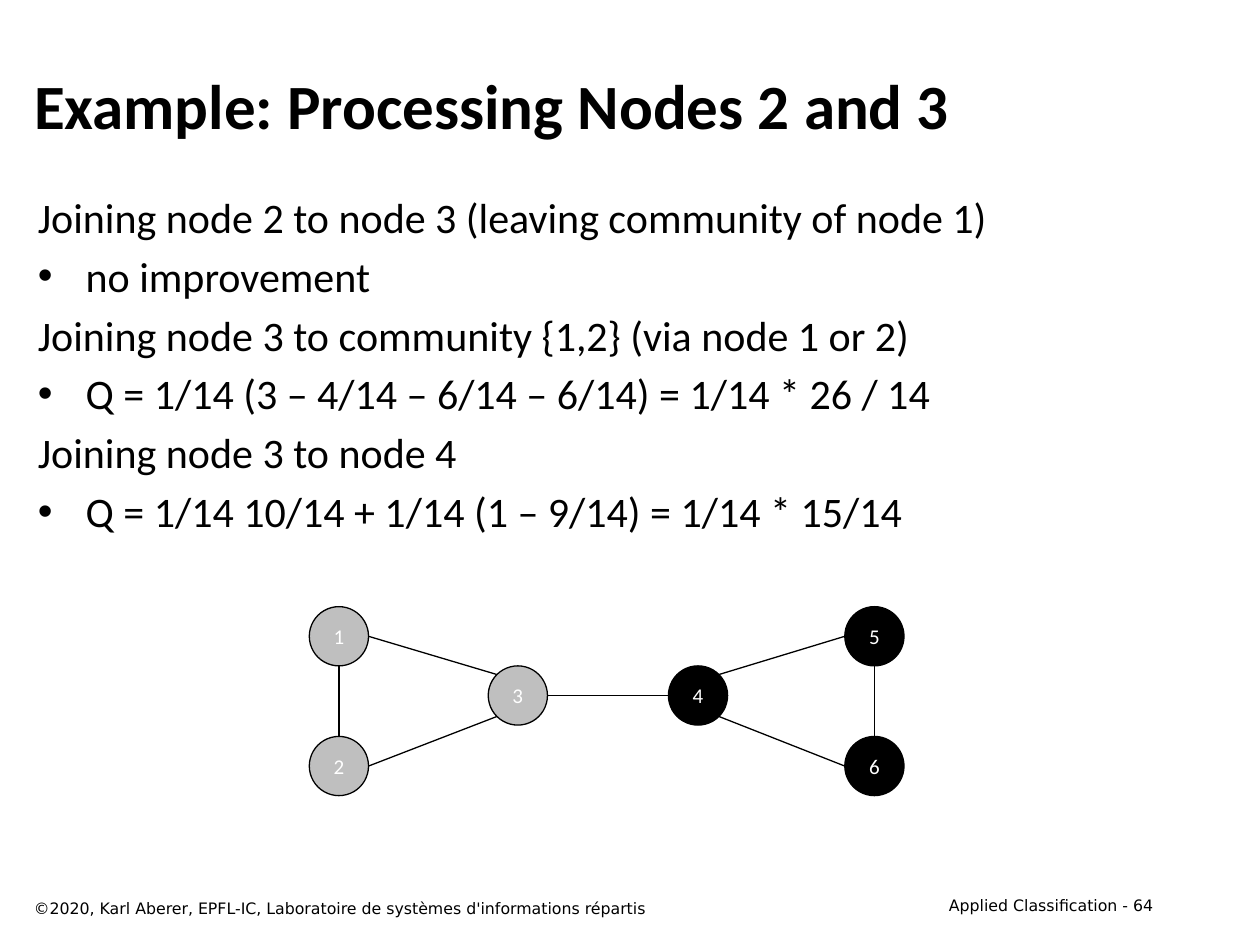
import pptx
import pptx.dml.color
import pptx.enum.shapes
import pptx.enum.text
import pptx.oxml
import pptx.oxml.ns
import pptx.util
from pptx.util import Inches

ALIGN = pptx.enum.text.PP_ALIGN
ANCHOR = pptx.enum.text.MSO_ANCHOR
SHAPES = pptx.enum.shapes


def color(value):
    return pptx.dml.color.RGBColor.from_string(value)


def write(para, text, size, name, value="000000", bold=False):
    span = para.add_run()
    span.text = text
    span.font.size = pptx.util.Pt(size)
    span.font.name = name
    span.font.bold = bold
    span.font.color.rgb = color(value)


deck = pptx.Presentation()
deck.slide_width = Inches(10)
deck.slide_height = Inches(7.5)
page = deck.slides.add_slide(deck.slide_layouts[1])

title = page.shapes.title
body = page.placeholders[1]
for box, place, anchor in [
    (title, (0.17, 0.33, 9.08, 1), ANCHOR.MIDDLE),
    (body, (0.2, 1.47, 9.08, 2.9), ANCHOR.TOP),
]:
    box.left, box.top, box.width, box.height = [Inches(value) for value in place]
    box.text_frame.auto_size = pptx.enum.text.MSO_AUTO_SIZE.NONE
    box.text_frame.vertical_anchor = anchor

para = title.text_frame.paragraphs[0]
para.alignment = ALIGN.LEFT
write(para, "Example: Processing Nodes 2 and 3", 36, "Calibri", bold=True)

lines = [
    ("Joining node 2 to node 3 (leaving community of node 1)", False),
    ("no improvement", True),
    ("Joining node 3 to community {1,2} (via node 1 or 2)", False),
    ("Q = 1/14 (3 – 4/14 – 6/14 – 6/14) = 1/14 * 26 / 14", True),
    ("Joining node 3 to node 4", False),
    ("Q = 1/14 10/14 + 1/14 (1 – 9/14) = 1/14 * 15/14", True),
]
for index, (text, bulleted) in enumerate(lines):
    para = body.text_frame.paragraphs[0] if index == 0 else body.text_frame.add_paragraph()
    para.space_before = pptx.util.Pt(4.8 if index else 0)
    indent = Inches(0.38) if bulleted else 0
    properties = para._p.get_or_add_pPr()
    properties.set("marL", str(indent))
    properties.set("indent", str(-indent))
    bullet = '<a:buChar %s char="•"/>' if bulleted else "<a:buNone %s/>"
    properties.append(pptx.oxml.parse_xml(bullet % pptx.oxml.ns.nsdecls("a")))
    write(para, text, 24, "Calibri")

footers = [
    ("Applied Classification - 64", (7.17, 7.06, 2.08, 0.25), ALIGN.RIGHT),
    ("©2020, Karl Aberer, EPFL-IC, Laboratoire de systèmes d'informations répartis",
     (0.17, 7.08, 6.42, 0.25), ALIGN.LEFT),
]
for text, place, alignment in footers:
    box = page.shapes.add_textbox(*[Inches(value) for value in place])
    box.text_frame.word_wrap = True
    para = box.text_frame.paragraphs[0]
    para.alignment = alignment
    write(para, text, 9, "DejaVu Sans")

radius = 0.235
diagonal = 0.71
gray, black = "BFBFBF", "000000"
nodes = {
    1: (2.69, 5.05, gray),
    2: (2.69, 6.08, gray),
    3: (4.11, 5.52, gray),
    4: (5.54, 5.52, black),
    5: (6.94, 5.05, black),
    6: (6.94, 6.08, black),
}
for number, (x, y, fill) in nodes.items():
    node = page.shapes.add_shape(
        SHAPES.MSO_SHAPE.OVAL, Inches(x - radius), Inches(y - radius),
        Inches(2 * radius), Inches(2 * radius))
    node.shadow.inherit = False
    node.fill.solid()
    node.fill.fore_color.rgb = color(fill)
    node.line.color.rgb = color(black)
    node.line.width = pptx.util.Pt(0.75)
    node.text_frame.vertical_anchor = ANCHOR.MIDDLE
    para = node.text_frame.paragraphs[0]
    para.alignment = ALIGN.CENTER
    write(para, str(number), 12, "Calibri", "FFFFFF")

edges = [
    (1, (1, 0), 3, (-diagonal, -diagonal)),
    (1, (0, 1), 2, (0, -1)),
    (2, (1, 0), 3, (-diagonal, diagonal)),
    (3, (1, 0), 4, (-1, 0)),
    (4, (diagonal, -diagonal), 5, (-1, 0)),
    (4, (diagonal, diagonal), 6, (-1, 0)),
    (6, (0, -1), 5, (0, 1)),
]
for start, start_side, end, end_side in edges:
    points = []
    for number, side in [(start, start_side), (end, end_side)]:
        x, y, fill = nodes[number]
        points += [Inches(x + radius * side[0]), Inches(y + radius * side[1])]
    edge = page.shapes.add_connector(SHAPES.MSO_CONNECTOR.STRAIGHT, *points)
    edge.line.color.rgb = color(black)
    edge.line.width = pptx.util.Pt(0.75)
    effects = pptx.oxml.parse_xml("<a:effectLst %s/>" % pptx.oxml.ns.nsdecls("a"))
    edge._element.spPr.append(effects)

deck.save("out.pptx")
